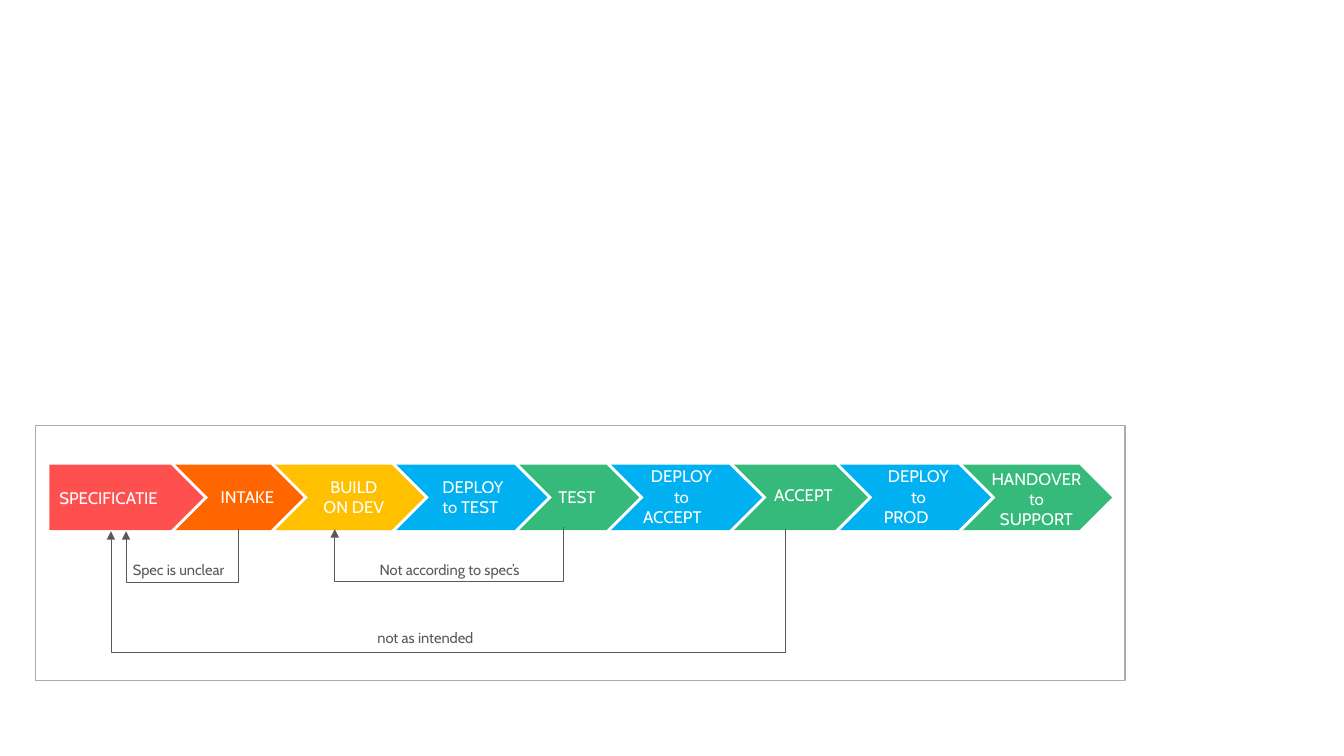
from dataclasses import dataclass

from lxml.etree import SubElement
from pptx import Presentation
from pptx.dml.color import RGBColor
from pptx.enum.shapes import MSO_CONNECTOR, MSO_SHAPE
from pptx.enum.text import MSO_ANCHOR, PP_ALIGN
from pptx.oxml.ns import qn
from pptx.util import Inches, Pt

WHITE = RGBColor(0xFF, 0xFF, 0xFF)
RED = RGBColor(0xFF, 0x50, 0x50)
ORANGE = RGBColor(0xFF, 0x66, 0x00)
YELLOW = RGBColor(0xFF, 0xC0, 0x00)
BLUE = RGBColor(0x00, 0xB0, 0xF0)
GREEN = RGBColor(0x36, 0xBA, 0x7B)
DARK_GREY = RGBColor(0x59, 0x59, 0x59)
FRAME_GREY = RGBColor(0xAF, 0xAB, 0xAB)

FONT = "Cabin"
FLOW_LEFT, FLOW_TOP, FLOW_HEIGHT = 0.49, 4.61, 0.65
OVERLAP = 0.28  # each chevron starts this far inside the previous one
ARROW_RISE = 0.02  # height between the two ends of a feedback arrow


@dataclass
class Box:
    left: float
    top: float
    width: float
    height: float


@dataclass
class Stage:
    label: str
    color: RGBColor
    width: float
    label_box: Box | None = None  # None: the label sits in the arrow itself
    centered_lines: int = 0


@dataclass
class Feedback:
    label: str
    label_box: Box
    start_x: float
    end_x: float
    start_y: float
    bottom: float
    centered_lines: int = 1


STAGES = [
    Stage("SPECIFICATIE", RED, 1.53),
    Stage("INTAKE", ORANGE, 1.27, Box(2.09, 4.78, 0.91, 0.3)),
    Stage("BUILD ON DEV", YELLOW, 1.48, Box(3.04, 4.69, 0.94, 0.47), 1),
    Stage("DEPLOY to TEST", BLUE, 1.5, Box(4.29, 4.69, 0.96, 0.47)),
    Stage("TEST", GREEN, 1.19, Box(5.44, 4.72, 0.74, 0.42)),
    Stage("DEPLOY to\nACCEPT", BLUE, 1.5, Box(6.28, 4.69, 0.96, 0.47), 1),
    Stage("ACCEPT", GREEN, 1.33, Box(7.58, 4.73, 0.9, 0.36)),
    Stage("DEPLOY to\n PROD", BLUE, 1.5, Box(8.63, 4.69, 0.96, 0.47), 1),
    Stage("HANDOVER\nto\nSUPPORT", GREEN, 1.48, Box(9.68, 4.7, 1.2, 0.5), 3),
]

FEEDBACKS = [
    Feedback("Not according to spec’s", Box(3.48, 5.55, 1.96, 0.21), 5.59, 3.32, 5.23, 5.77),
    Feedback("Spec is unclear", Box(1.22, 5.49, 1.2, 0.33), 2.36, 1.25, 5.25, 5.78, 0),
    Feedback("not as intended", Box(3.24, 6.22, 1.96, 0.21), 7.79, 1.1, 5.25, 6.47),
]


def inches(box: Box) -> list:
    return [Inches(v) for v in (box.left, box.top, box.width, box.height)]


def add_filled(slide, kind, box: Box, color: RGBColor):
    shape = slide.shapes.add_shape(kind, *inches(box))
    shape.shadow.inherit = False
    shape.fill.solid()
    shape.fill.fore_color.rgb = color
    shape.line.fill.background()
    return shape


def write(shape, text: str, size: float, color: RGBColor, centered_lines: int) -> None:
    frame = shape.text_frame
    frame.word_wrap = True
    frame.vertical_anchor = MSO_ANCHOR.MIDDLE
    frame.text = text
    for number, paragraph in enumerate(frame.paragraphs):
        paragraph.alignment = PP_ALIGN.CENTER if number < centered_lines else PP_ALIGN.LEFT
        for run in paragraph.runs:
            run.font.name = FONT
            run.font.size = Pt(size)
            run.font.color.rgb = color


def draw_stages(slide) -> None:
    left = FLOW_LEFT
    for stage in STAGES:
        kind = MSO_SHAPE.CHEVRON if stage.label_box else MSO_SHAPE.PENTAGON
        arrow = add_filled(slide, kind, Box(left, FLOW_TOP, stage.width, FLOW_HEIGHT), stage.color)
        if stage.label_box is None:
            write(arrow, stage.label, 12, WHITE, stage.centered_lines)
        left += stage.width - OVERLAP
    for stage in STAGES:
        if stage.label_box:
            label = slide.shapes.add_textbox(*inches(stage.label_box))
            write(label, stage.label, 12, WHITE, stage.centered_lines)


def draw_feedback(slide, feedback: Feedback) -> None:
    label = add_filled(slide, MSO_SHAPE.RECTANGLE, feedback.label_box, WHITE)
    write(label, feedback.label, 10.5, DARK_GREY, feedback.centered_lines)

    # An elbow connector turned a quarter, so that it leaves downwards
    span = feedback.start_x - feedback.end_x
    left = (feedback.start_x + feedback.end_x - ARROW_RISE) / 2
    top = feedback.start_y + (ARROW_RISE - span) / 2
    arrow = slide.shapes.add_connector(
        MSO_CONNECTOR.ELBOW,
        Inches(left), Inches(top), Inches(left + ARROW_RISE), Inches(top + span),
    )
    arrow.line.color.rgb = DARK_GREY
    arrow.line.width = Pt(0.5)
    properties = arrow._element.spPr
    properties.find(qn("a:xfrm")).set("rot", "5400000")
    depth = round((feedback.bottom - feedback.start_y) / ARROW_RISE * 100000)
    adjustments = properties.find(qn("a:prstGeom")).get_or_add_avLst()
    SubElement(adjustments, qn("a:gd"), name="adj1", fmla=f"val {depth}")
    SubElement(properties.find(qn("a:ln")), qn("a:tailEnd"), type="triangle")
    SubElement(properties, qn("a:effectLst"))


def main() -> None:
    deck = Presentation()
    deck.slide_width, deck.slide_height = Inches(13.33), Inches(7.5)
    slide = deck.slides.add_slide(deck.slide_layouts[6])

    # Process chain
    draw_stages(slide)

    # Feedback loops
    for feedback in FEEDBACKS:
        draw_feedback(slide, feedback)

    # Frame around the process
    frame = add_filled(slide, MSO_SHAPE.RECTANGLE, Box(0.35, 4.22, 10.81, 2.53), WHITE)
    frame.fill.background()
    frame.line.color.rgb = FRAME_GREY
    frame.line.width = Pt(1)

    deck.save("out.pptx")


if __name__ == "__main__":
    main()
